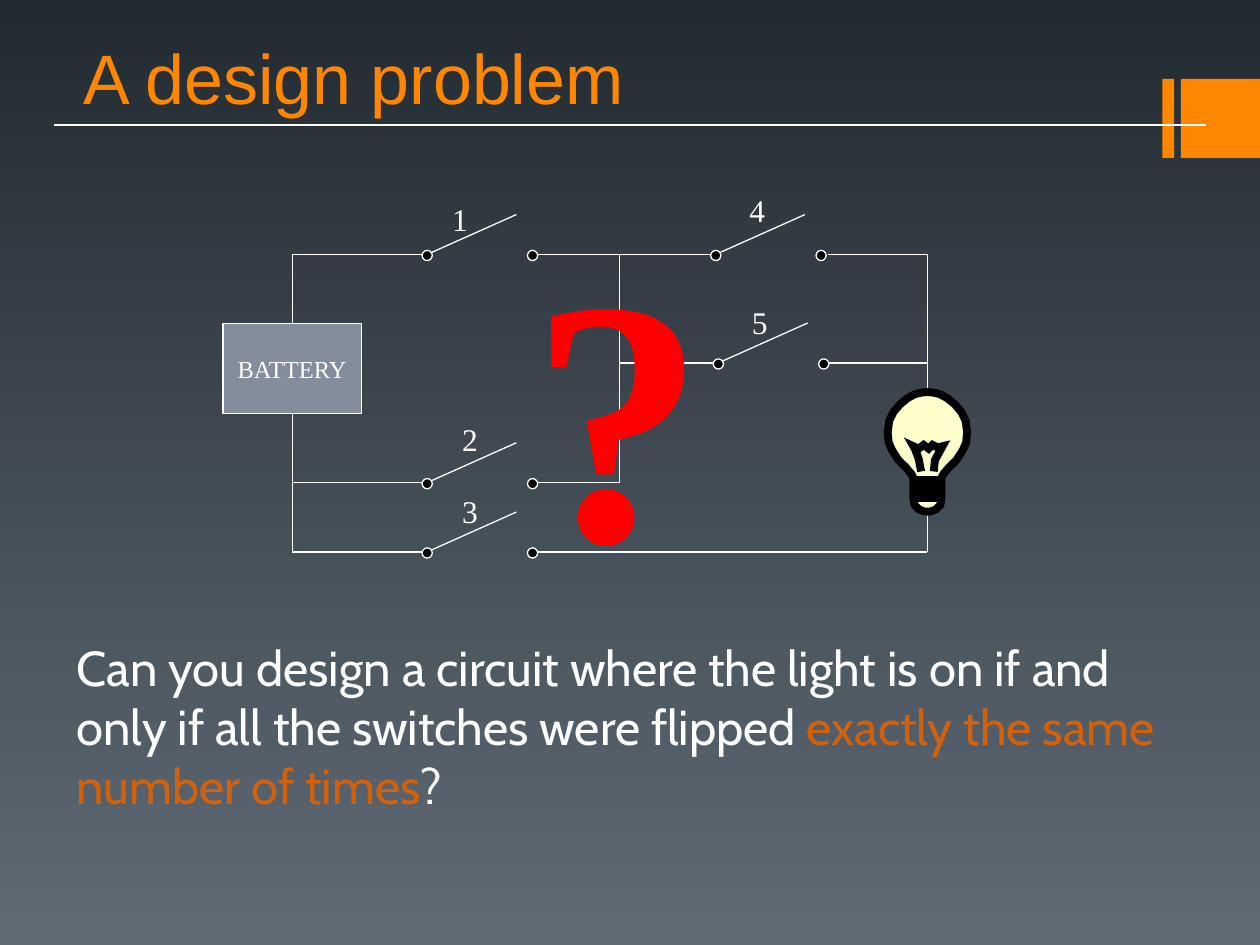
from pptx import Presentation
from pptx.dml.color import RGBColor
from pptx.enum import shapes, text
from pptx.oxml.ns import qn
from pptx.util import Pt
from lxml import etree

THEME = {
    "top": "232B32", "bottom": "606B76", "accent": "FF8600", "emphasis": "D2610C",
    "light": "FFFFFF", "dark": "000000", "battery": "838D9B", "bulb": "FFFFCC", "question": "FF0000",
    "title_font": "Arial", "body_font": "Cabin", "label_font": "Times New Roman",
    "title_size": 40, "body_size": 28, "label_size": 18, "battery_size": 14, "question_size": 200,
    "wire_width": 0.75, "bulb_width": 4.5,
}

TITLE = "A design problem"
QUESTION = [
    ("Can you design a circuit where the light is on if and only if all the switches were flipped ", "light"),
    ("exactly the same number of times", "emphasis"),
    ("?", "light"),
]

LEFT_RAIL, MID_RAIL, RIGHT_RAIL = 167, 354.2, 530
TOP, SECOND, THIRD, BOTTOM = 145.4, 207.4, 275.8, 315.4
LEFT_PIVOT, RIGHT_PIVOT = 244.1, 409
CONTACT_GAP, ARM_RUN, ARM_RISE, DOT = 60.2, 51, 22.8, 5.8
BATTERY_BOX = (127.4, 185, 79.2, 51.2)

SWITCHES = [
    ("1", LEFT_PIVOT, TOP, 251.3, 110.9),
    ("2", LEFT_PIVOT, THIRD, 257, 236.2),
    ("3", LEFT_PIVOT, BOTTOM, 257, 277.9),
    ("4", RIGHT_PIVOT, TOP, 421.2, 105.8),
    ("5", RIGHT_PIVOT + 1.5, SECOND, 422.6, 169.9),
]

LEFT_CONTACT = LEFT_PIVOT + CONTACT_GAP
RIGHT_CONTACT = RIGHT_PIVOT + CONTACT_GAP
WIRES = [
    (LEFT_RAIL, TOP, LEFT_PIVOT, TOP),
    (LEFT_CONTACT, TOP, RIGHT_PIVOT, TOP),
    (RIGHT_CONTACT + 4, TOP, RIGHT_RAIL, TOP),
    (MID_RAIL, SECOND, RIGHT_PIVOT, SECOND),
    (RIGHT_CONTACT + 4, SECOND, RIGHT_RAIL, SECOND),
    (LEFT_RAIL, THIRD, LEFT_PIVOT, THIRD),
    (LEFT_CONTACT, THIRD, MID_RAIL, THIRD),
    (LEFT_RAIL, BOTTOM, LEFT_PIVOT, BOTTOM),
    (LEFT_CONTACT, BOTTOM, RIGHT_RAIL, BOTTOM),
    (MID_RAIL, TOP, MID_RAIL, THIRD),
    (RIGHT_RAIL, TOP, RIGHT_RAIL, BOTTOM),
]

BULB_TOP = 224
BULB_HALF = [
    (0, 0), (3.6, 0.4), (7.2, 1.3), (11.5, 3.6), (15.8, 7.2), (19.4, 11.5), (21.8, 16.4),
    (22.7, 23), (22.1, 29), (20.2, 33.3), (16.6, 38.9), (12.2, 43.2), (9.2, 46.8),
    (8, 49.2), (8, 61), (7.4, 64.5), (5, 67), (2.2, 68.2), (0, 68.4),
]
BULB_OUTLINE = BULB_HALF + [(-x, y) for x, y in BULB_HALF[-2:0:-1]]
FILAMENT = [
    (-3.6, 45.4), (-5, 38.2), (-7.2, 32.4), (-8, 31), (-5, 32.4), (-2.2, 30.2),
    (0.7, 32.4), (2.9, 30.2), (5.8, 31.7), (8.6, 31), (4.3, 38.9), (3.6, 45.4),
]
BULB_BASE = [
    (-8, 50.4), (8, 50.4), (8, 54), (-8, 54),
    (-8, 57.6), (8, 57.6), (8, 60.5), (-7.4, 60.5),
]


def color(name):
    return RGBColor.from_string(THEME[name])


def style(item, name, size, tint, bold=False):
    item.font.name = THEME[name + "_font"]
    item.font.size = Pt(THEME[size + "_size"])
    item.font.color.rgb = color(tint)
    item.font.bold = bold


def add_wire(slide, *ends):
    wire = slide.shapes.add_connector(shapes.MSO_CONNECTOR.STRAIGHT, *map(Pt, ends))
    wire.line.color.rgb = color("light")
    wire.line.width = Pt(THEME["wire_width"])
    etree.SubElement(wire._element.spPr, qn("a:effectLst"))
    return wire


def add_block(slide, kind, box, fill, outline=None):
    block = slide.shapes.add_shape(kind, *map(Pt, box))
    block.shadow.inherit = False
    block.fill.solid()
    block.fill.fore_color.rgb = color(fill)
    if outline:
        block.line.color.rgb = color(outline)
        block.line.width = Pt(THEME["wire_width"])
    else:
        block.line.fill.background()
    return block


def add_label(slide, words, box, size, tint, bold=False):
    frame = slide.shapes.add_textbox(*map(Pt, box)).text_frame
    frame.word_wrap = False
    frame.text = words
    style(frame.paragraphs[0], "label", size, tint, bold)


def add_bulb_part(slide, contours, closed):
    placed = [[(Pt(RIGHT_RAIL + x), Pt(BULB_TOP + y)) for x, y in points] for points in contours]
    builder = slide.shapes.build_freeform(*placed[0][0])
    builder.add_line_segments(placed[0][1:], close=closed)
    for points in placed[1:]:
        builder.move_to(*points[0])
        builder.add_line_segments(points[1:], close=closed)
    part = builder.convert_to_shape()
    part.shadow.inherit = False
    if closed:
        part.fill.solid()
        part.fill.fore_color.rgb = color("bulb")
    else:
        part.fill.background()
    part.line.color.rgb = color("dark")
    part.line.width = Pt(THEME["bulb_width"])
    etree.SubElement(part.line._get_or_add_ln(), qn("a:miter"), lim="800000")


def add_frame(slide):
    backdrop = slide.background.fill
    backdrop.gradient()
    backdrop.gradient_angle = 270
    for stop, name, position in zip(backdrop.gradient_stops, ("top", "bottom"), (0, 1)):
        stop.color.rgb = color(name)
        stop.position = position
    for left, width in ((664.2, 6.8), (674.8, 45.2)):
        add_block(slide, shapes.MSO_SHAPE.RECTANGLE, (left, 45, width, 45.2), "accent")
    add_wire(slide, 31, 71.5, 689, 71.5)

    title = slide.shapes.title
    title.left, title.top, title.width, title.height = map(Pt, (40.3, 0, 576, 71.3))
    frame = title.text_frame
    frame.text = TITLE
    frame.auto_size = text.MSO_AUTO_SIZE.NONE
    frame.vertical_anchor = text.MSO_ANCHOR.BOTTOM
    frame.paragraphs[0].alignment = text.PP_ALIGN.LEFT
    style(frame.paragraphs[0], "title", "title", "accent")


def add_question(slide):
    frame = slide.shapes.add_textbox(*map(Pt, (36.7, 360.7, 652.3, 108))).text_frame
    frame.word_wrap = True
    paragraph = frame.paragraphs[0]
    paragraph.space_before = Pt(17.5)
    for words, tint in QUESTION:
        run = paragraph.add_run()
        run.text = words
        style(run, "body", "body", tint)


def add_circuit(slide):
    for ends in WIRES:
        add_wire(slide, *ends)

    battery = add_block(slide, shapes.MSO_SHAPE.RECTANGLE, BATTERY_BOX, "battery", "light")
    frame = battery.text_frame
    frame.word_wrap = False
    frame.vertical_anchor = text.MSO_ANCHOR.MIDDLE
    frame.text = "BATTERY"
    frame.paragraphs[0].alignment = text.PP_ALIGN.CENTER
    style(frame.paragraphs[0], "label", "battery", "light")
    for side, rail in ((0, TOP), (2, BOTTOM)):
        add_wire(slide, LEFT_RAIL, rail, LEFT_RAIL, rail).end_connect(battery, side)

    for number, pivot, level, left, top in SWITCHES:
        add_wire(slide, pivot, level, pivot + ARM_RUN, level - ARM_RISE)
        for center in (pivot, pivot + CONTACT_GAP):
            dot_box = (center - DOT / 2, level + 0.6 - DOT / 2, DOT, DOT)
            add_block(slide, shapes.MSO_SHAPE.OVAL, dot_box, "dark", "light")
        add_label(slide, number, (left, top, 24.5, 28.8), "label", "light")

    add_bulb_part(slide, [BULB_OUTLINE], True)
    add_bulb_part(slide, [FILAMENT, BULB_BASE], False)


def main():
    deck = Presentation()
    deck.slide_width, deck.slide_height = Pt(720), Pt(540)
    slide = deck.slides.add_slide(deck.slide_layouts[5])
    add_frame(slide)
    add_question(slide)
    add_circuit(slide)
    add_label(slide, "?", (295.9, 105.8, 124.6, 247.7), "question", "question", True)
    deck.save("out.pptx")


if __name__ == "__main__":
    main()
